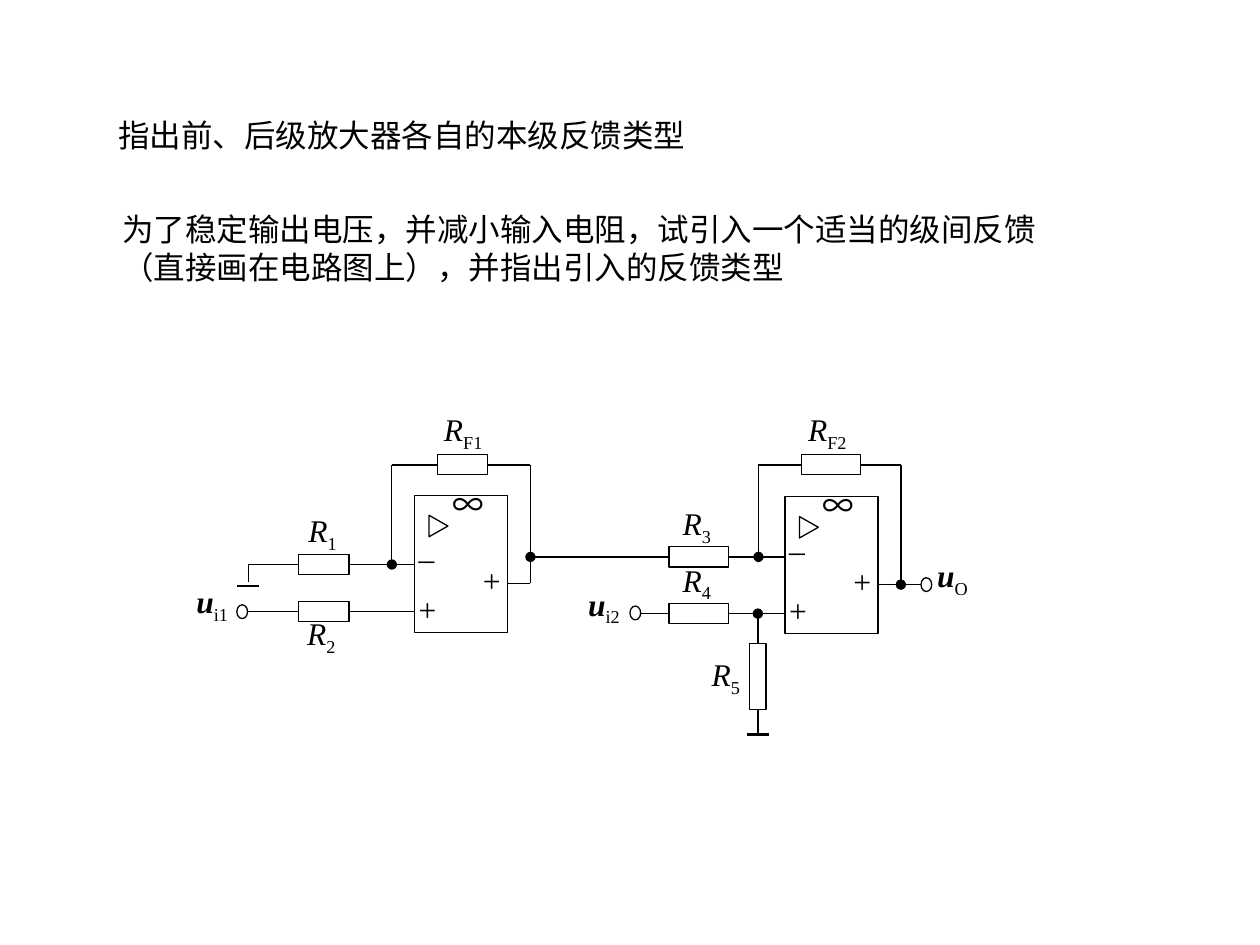
from lxml.etree import SubElement
from pptx import Presentation
from pptx.dml.color import RGBColor
from pptx.enum.shapes import MSO_CONNECTOR, MSO_SHAPE
from pptx.enum.text import MSO_ANCHOR, PP_ALIGN
from pptx.oxml.ns import qn
from pptx.util import Inches, Pt

BLACK = RGBColor(0x00, 0x00, 0x00)
WHITE = RGBColor(0xFF, 0xFF, 0xFF)
LATIN, SERIF, CHINESE = "Arial", "Times New Roman", "Noto Sans CJK SC"
SLIDE_WIDTH, SLIDE_HEIGHT = Inches(10), Inches(7.5)
UNIT = SLIDE_WIDTH / 100  # the grid has 100 columns and 75 rows
RESISTOR_THICKNESS = 1.6


def grid(*lengths):
    return [round(length * UNIT) for length in lengths]


def format_run(run, font_name, bold=False, italic=False):
    font = run.font
    font.size, font.name, font.bold, font.italic = Pt(18), font_name, bold, italic
    font.color.rgb = BLACK
    if font_name != SERIF:
        latin = run._r.rPr.find(qn("a:latin"))
        east_asian = SubElement(run._r.rPr, qn("a:ea"), typeface=CHINESE)
        latin.addnext(east_asian)


def write_statement(shape, box, text):
    shape.left, shape.top, shape.width, shape.height = grid(*box)
    frame = shape.text_frame
    frame.text = text
    frame.word_wrap = False
    frame.vertical_anchor = MSO_ANCHOR.MIDDLE
    for paragraph in frame.paragraphs:
        paragraph.alignment = PP_ALIGN.LEFT
        paragraph.line_spacing = 1.0
        for run in paragraph.runs:
            format_run(run, LATIN)


def add_label(slide, left, top, text, subscript="", font_name=SERIF, bold=False):
    """Place a symbol; one that has a subscript is set in italics."""
    shape = slide.shapes.add_textbox(*grid(left, top, 6, 4.9))
    shape.text_frame.word_wrap = True
    paragraph = shape.text_frame.paragraphs[0]
    paragraph.text = text
    format_run(paragraph.runs[0], font_name, bold, bool(subscript))
    if subscript:
        run = paragraph.add_run()
        run.text = subscript
        format_run(run, font_name)
        run._r.rPr.set("baseline", "-25000")


def add_outline(slide, preset, left, top, width, height):
    shape = slide.shapes.add_shape(preset, *grid(left, top, width, height))
    shape.shadow.inherit = False
    shape.fill.solid()
    shape.fill.fore_color.rgb = WHITE
    shape.line.color.rgb = BLACK
    shape.line.width = Pt(0.75)
    return shape


def add_wire(slide, start, end, junction=False, weight=0.75):
    """Join two grid points, with a junction dot at the start if asked."""
    wire = slide.shapes.add_connector(MSO_CONNECTOR.STRAIGHT, *grid(*start, *end))
    wire.line.color.rgb = BLACK
    wire.line.width = Pt(weight)
    if junction:
        SubElement(wire.line._get_or_add_ln(), qn("a:headEnd"), type="oval", w="med", len="med")
    SubElement(wire._element.spPr, qn("a:effectLst"))


def add_resistor(slide, left, top, length, subscript, label_left=-0.2, label_top=-3.9):
    add_outline(slide, MSO_SHAPE.RECTANGLE, left, top, length, RESISTOR_THICKNESS)
    add_label(slide, left + label_left, top + label_top, "R", subscript)


def add_terminal(slide, left, top, subscript, label_left, label_top):
    add_outline(slide, MSO_SHAPE.OVAL, left, top, 0.85, 1.1)
    add_label(slide, left + label_left, top + label_top, "u", subscript, bold=True)


def add_ground(slide, center, row):
    add_wire(slide, (center - 0.85, row), (center + 0.85, row), weight=1.5)


def add_amplifier(slide, left, top, minus_top):
    add_outline(slide, MSO_SHAPE.RECTANGLE, left, top, 7.4, 10.9)
    triangle = add_outline(slide, MSO_SHAPE.ISOSCELES_TRIANGLE, left + 1.05, top + 1.7, 1.7, 1.5)
    triangle.rotation = 90
    add_label(slide, left + 2, top - 1.3, "∞", font_name=CHINESE)
    add_label(slide, left - 0.65, top + 7.05, "+")
    add_label(slide, left + 4.45, top + 4.75, "+")
    add_label(slide, left - 0.65, top + minus_top, "_")


def add_feedback_loop(slide, left, right, row, input_row, output_row,
                      resistor_left, resistor_length, subscript, output_junction):
    resistor_right = resistor_left + resistor_length
    add_wire(slide, (left, input_row), (left, row), junction=True)
    add_wire(slide, (left, row), (resistor_left, row))
    add_wire(slide, (resistor_right, row), (right, row))
    add_wire(slide, (right, output_row), (right, row), junction=output_junction)
    add_resistor(slide, resistor_left, row - 0.85, resistor_length, subscript, -0.45, -4)


def add_first_stage(slide, left, top):
    """Draw the stage whose amplifier has its corner at the given point."""
    minus_row, plus_row, output_row = top + 5.5, top + 9.25, top + 7
    resistor_left, resistor_length = left - 9.2, 4
    resistor_right = resistor_left + resistor_length
    ground_center = left - 13.2
    add_amplifier(slide, left, top, 2.1)
    add_feedback_loop(slide, left - 1.8, left + 9.2, top - 2.4, minus_row, output_row,
                      left + 1.8, 4, "F1", False)
    add_wire(slide, (left + 7.4, output_row), (left + 9.2, output_row))
    for row in (minus_row, plus_row):
        add_wire(slide, (ground_center, row), (resistor_left, row))
        add_wire(slide, (resistor_right, row), (left, row))
    add_resistor(slide, resistor_left, minus_row - 0.8, resistor_length, "1")
    add_resistor(slide, resistor_left, plus_row - 0.8, resistor_length, "2", -0.3, 0.5)
    add_wire(slide, (ground_center, minus_row), (ground_center, top + 6.9))
    add_ground(slide, ground_center, top + 7.2)
    add_terminal(slide, left - 14.1, top + 8.7, "i1", -4.2, -2.3)


def add_second_stage(slide, left, top, source_column):
    """Draw the stage, fed from the first one at the given column."""
    minus_row, plus_row, output_row = top + 4.8, top + 9.3, top + 7
    resistor_left, resistor_length = left - 9.2, 4.7
    resistor_right = resistor_left + resistor_length
    shunt_column = left - 2.15
    add_amplifier(slide, left, top, 1.4)
    add_feedback_loop(slide, left - 2.1, left + 9.2, top - 2.5, minus_row, output_row,
                      left + 1.3, 4.7, "F2", True)
    add_wire(slide, (source_column, minus_row), (resistor_left, minus_row), junction=True)
    add_wire(slide, (left - 11.5, plus_row), (resistor_left, plus_row))
    for row, subscript in ((minus_row, "3"), (plus_row, "4")):
        add_wire(slide, (resistor_right, row), (left, row))
        add_resistor(slide, resistor_left, row - 0.8, resistor_length, subscript, 0.1)
    add_wire(slide, (shunt_column, plus_row), (shunt_column, top + 18.9), junction=True)
    add_outline(slide, MSO_SHAPE.RECTANGLE, shunt_column - 0.65, top + 11.7, 1.3, 5.2)
    add_label(slide, left - 6.8, top + 12.1, "R", "5")
    add_ground(slide, shunt_column, top + 18.9)
    add_wire(slide, (left + 7.4, output_row), (left + 10.8, output_row))
    add_terminal(slide, left - 12.3, top + 8.7, "i2", -4.3, -2.2)
    add_terminal(slide, left + 10.8, top + 6.45, "O", 0.3, -2.2)


def main():
    presentation = Presentation()
    presentation.slide_width, presentation.slide_height = SLIDE_WIDTH, SLIDE_HEIGHT
    slide = presentation.slides.add_slide(presentation.slide_layouts[5])
    write_statement(slide.shapes.title, (8.4, 8.7, 47.5, 4),
                    "指出前、后级放大器各自的本级反馈类型")
    task_box = (8.7, 16.2, 74.5, 7)
    write_statement(slide.shapes.add_textbox(*grid(*task_box)), task_box,
                    "为了稳定输出电压，并减小输入电阻，试引入一个适当的级间反馈\n"
                    "（直接画在电路图上），并指出引入的反馈类型")
    add_second_stage(slide, 62.3, 39.4, source_column=42.1)
    add_first_stage(slide, 32.9, 39.3)
    presentation.save("out.pptx")


if __name__ == "__main__":
    main()
